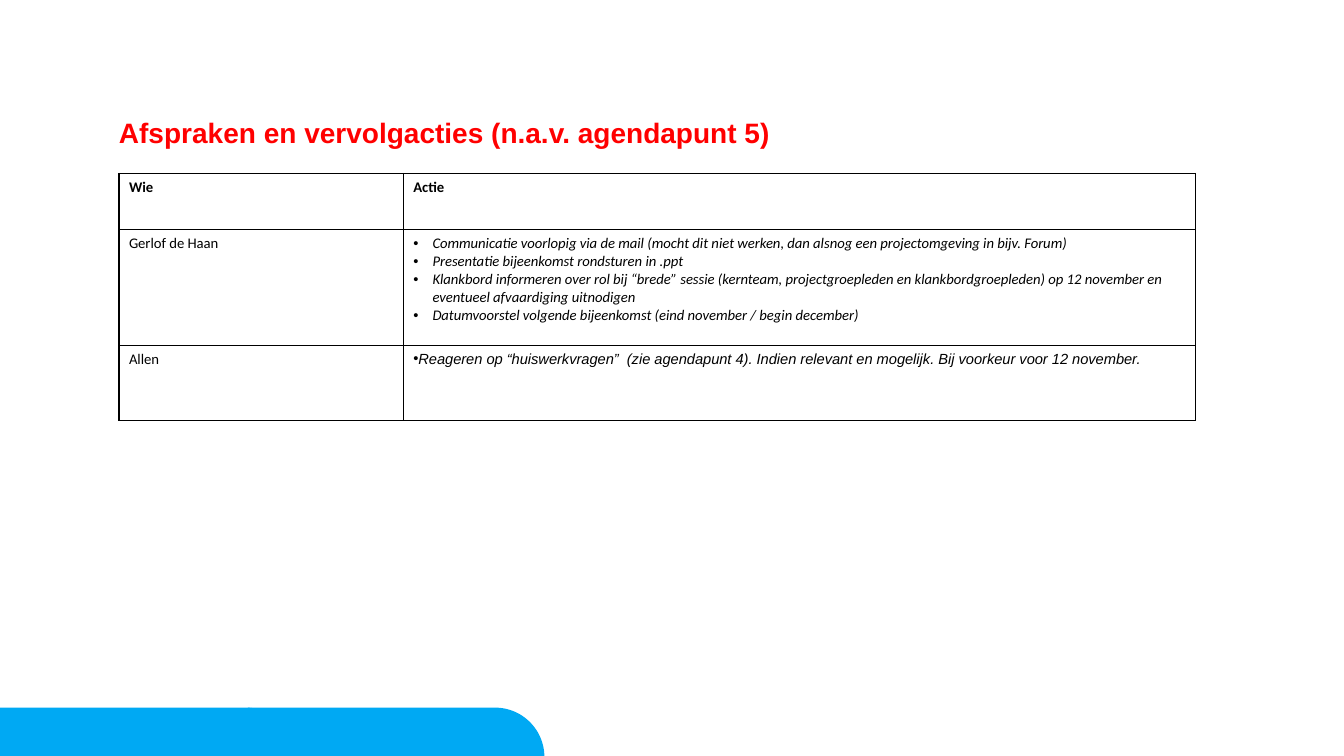
"""Build a slide with a table of agreements and follow-up actions."""
from math import cos, pi, sin

from lxml import etree
from pptx import Presentation
from pptx.dml.color import RGBColor
from pptx.oxml.ns import qn
from pptx.util import Inches, Pt

RED = RGBColor(0xFF, 0x00, 0x00)
BLACK = RGBColor(0x00, 0x00, 0x00)
BLUE = RGBColor(0x00, 0xA9, 0xF3)

TITLE = "Afspraken en vervolgacties (n.a.v. agendapunt 5)"
HEADERS = ["Wie", "Actie"]
ACTIONS = [
    ("Gerlof de Haan", [
        "Communicatie voorlopig via de mail (mocht dit niet werken, dan alsnog "
        "een projectomgeving in bijv. Forum)",
        "Presentatie bijeenkomst rondsturen in .ppt",
        "Klankbord informeren over rol bij “brede” sessie (kernteam, "
        "projectgroepleden en klankbordgroepleden) op 12 november en "
        "eventueel afvaardiging uitnodigen",
        "Datumvoorstel volgende bijeenkomst (eind november / begin december)",
    ], {"font": "Calibri", "indent": (0.19, -0.19)}),
    ("Allen", [
        "Reageren op “huiswerkvragen”  (zie agendapunt 4). Indien relevant en "
        "mogelijk. Bij voorkeur voor 12 november.",
    ], {"font": "Arial", "indent": (0, -0.2)}),
]
COL_WIDTHS = [2.82, 7.86]
ROW_HEIGHTS = [0.56, 1.15, 0.74]
TAB_LEFTS = [-0.01, 2.46]
TAB_TOP, TAB_WIDTH, TAB_HEIGHT = 7.02, 2.94, 0.49
ARC_STEPS = 24


def add_text(tf, text, first=True, font="Calibri", size=10.5, color=BLACK,
             bold=False, italic=False, indent=None, spacing=None):
    """Write one formatted paragraph, bulleted when an indent is given."""
    p = tf.paragraphs[0] if first else tf.add_paragraph()
    if indent:
        pPr = p._p.get_or_add_pPr()
        pPr.set("marL", str(Inches(indent[0])))
        pPr.set("indent", str(Inches(indent[1])))
        etree.SubElement(pPr, qn("a:buFont")).set("typeface", "Arial")
        etree.SubElement(pPr, qn("a:buChar")).set("char", "•")
    if spacing:
        p.line_spacing = spacing
    r = p.add_run()
    r.text = text
    r.font.name = font
    r.font.size = Pt(size)
    r.font.bold = bold
    r.font.italic = italic
    r.font.color.rgb = color


def add_borders(cell):
    """Give a cell four thin black borders and no fill."""
    cell.fill.background()
    tcPr = cell._tc.get_or_add_tcPr()
    for i, side in enumerate(("lnL", "lnR", "lnT", "lnB")):
        ln = etree.Element(qn(f"a:{side}"), w=str(Pt(1)))
        fill = etree.SubElement(ln, qn("a:solidFill"))
        etree.SubElement(fill, qn("a:srgbClr")).set("val", str(BLACK))
        tcPr.insert(i, ln)


def add_tab(s, left):
    """Draw a footer tab whose top right corner is a quarter circle."""
    right, bottom = left + TAB_WIDTH, TAB_TOP + TAB_HEIGHT
    angles = [pi / 2 * (1 - i / ARC_STEPS) for i in range(ARC_STEPS + 1)]
    arc = [(right - TAB_HEIGHT + TAB_HEIGHT * cos(a),
            bottom - TAB_HEIGHT * sin(a)) for a in angles]
    points = [(left, TAB_TOP), *arc, (left, bottom)]
    outline = [(Inches(x), Inches(y)) for x, y in points]
    builder = s.shapes.build_freeform(*outline[0])
    builder.add_line_segments(outline[1:], close=True)
    sp = builder.convert_to_shape()
    sp.shadow.inherit = False
    sp.fill.solid()
    sp.fill.fore_color.rgb = BLUE
    sp.line.fill.background()


def add_action_table(s):
    """Fill the table of people and their actions."""
    frame = s.shapes.add_table(
        len(ROW_HEIGHTS), len(COL_WIDTHS), Inches(1.18), Inches(1.72),
        Inches(sum(COL_WIDTHS)), Inches(sum(ROW_HEIGHTS)))
    table = frame.table
    table.first_row = table.horz_banding = False
    for col, width in zip(table.columns, COL_WIDTHS):
        col.width = Inches(width)
    for row, height in zip(table.rows, ROW_HEIGHTS):
        row.height = Inches(height)
    for cell in table.iter_cells():
        add_borders(cell)
    for c, header in enumerate(HEADERS):
        add_text(table.cell(0, c).text_frame, header, bold=True)
    for r, (who, items, style) in enumerate(ACTIONS, 1):
        add_text(table.cell(r, 0).text_frame, who)
        for i, item in enumerate(items):
            add_text(table.cell(r, 1).text_frame, item, first=i == 0,
                     italic=True, **style)


def main():
    """Assemble and save the slide."""
    prs = Presentation()
    prs.slide_width, prs.slide_height = Inches(13.33), Inches(7.5)
    s = prs.slides.add_slide(prs.slide_layouts[6])
    for left in TAB_LEFTS:
        add_tab(s, left)
    add_action_table(s)
    title = s.shapes.add_textbox(Inches(1.18), Inches(1.18),
                                 Inches(10.97), Inches(0.79))
    tf = title.text_frame
    tf.word_wrap = True
    tf.margin_left = tf.margin_right = tf.margin_top = tf.margin_bottom = 0
    add_text(tf, TITLE, font="Arial", size=20, color=RED, bold=True, spacing=0.9)
    prs.save("out.pptx")


if __name__ == "__main__":
    main()
